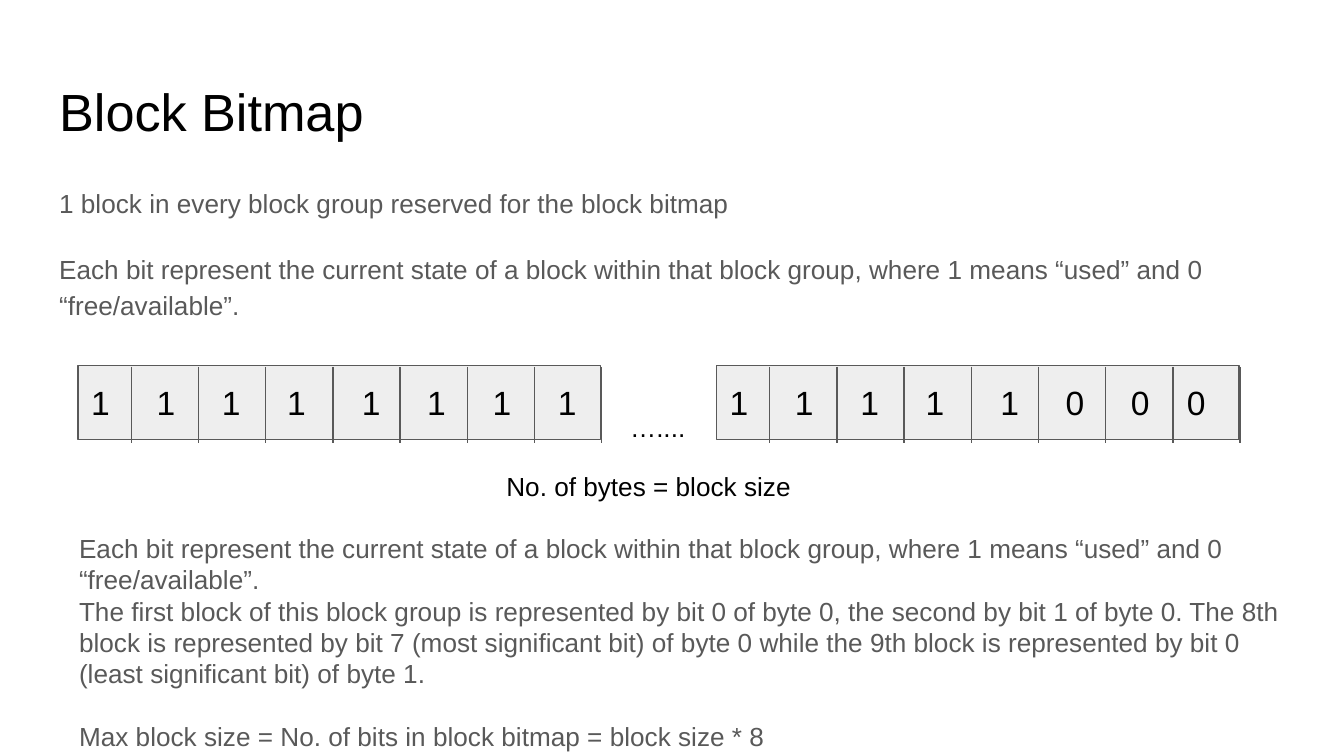
from lxml import etree
from pptx import Presentation
from pptx.dml.color import RGBColor
from pptx.enum.shapes import MSO_CONNECTOR, MSO_SHAPE
from pptx.enum.text import MSO_ANCHOR, MSO_AUTO_SIZE, PP_ALIGN
from pptx.oxml.ns import qn
from pptx.util import Pt

RECT = MSO_SHAPE.RECTANGLE
STRAIGHT = MSO_CONNECTOR.STRAIGHT
TOP, MIDDLE = MSO_ANCHOR.TOP, MSO_ANCHOR.MIDDLE
NO_FIT = MSO_AUTO_SIZE.NONE
LEFT = PP_ALIGN.LEFT

BLACK = RGBColor(0, 0, 0)
GREY = RGBColor(0x59, 0x59, 0x59)
PALE = RGBColor(0xEE, 0xEE, 0xEE)

USED_FREE = ("Each bit represent the current state of a block within that block group, "
             "where 1 means “used” and 0 “free/available”.")
INTRO = [
    ("1 block in every block group reserved for the block bitmap",
     {"line_spacing": 1.15, "space_before": Pt(0), "space_after": Pt(0)}),
    (USED_FREE, {"line_spacing": 1.15, "space_before": Pt(16), "space_after": Pt(12)}),
]
DETAILS = [
    (USED_FREE, {}),
    ("The first block of this block group is represented by bit 0 of byte 0, "
     "the second by bit 1 of byte 0. The 8th block is represented by bit 7 "
     "(most significant bit) of byte 0 while the 9th block is represented by bit 0 "
     "(least significant bit) of byte 1.", {}),
    ("Max block size = No. of bits in block bitmap = block size * 8",
     {"space_before": Pt(17)}),
]


def place(sp, box):
    """Move a shape into a box of left, top, width and height in points."""
    for name, value in zip(("left", "top", "width", "height"), box):
        setattr(sp, name, Pt(value))


def write(sp, paragraphs, size, color, anchor=TOP):
    """Fill a shape with left-aligned paragraphs and their formats."""
    tf = sp.text_frame
    frame = {"word_wrap": True, "auto_size": NO_FIT, "vertical_anchor": anchor}
    frame.update({f"margin_{side}": Pt(7.2) for side in ("left", "top", "right", "bottom")})
    for name, value in frame.items():
        setattr(tf, name, value)
    for i, (text, formats) in enumerate(paragraphs):
        p = tf.add_paragraph() if i else tf.paragraphs[0]
        for name, value in {"alignment": LEFT, **formats}.items():
            setattr(p, name, value)
        r = p.add_run()
        r.text = text
        for name, value in {"name": "Arial", "size": Pt(size)}.items():
            setattr(r.font, name, value)
        r.font.color.rgb = color


def add_label(s, box, paragraphs, color):
    """Add a text box in the given box."""
    sp = s.shapes.add_textbox(*map(Pt, box))
    write(sp, paragraphs, 14, color)


def fill_title(s, box, text):
    """Place the title placeholder in the box."""
    place(s.shapes.title, box)
    write(s.shapes.title, [(text, {})], 28, BLACK)


def fill_body(s, box, paragraphs):
    """Place the body placeholder in the box, without bullets."""
    sp = s.placeholders[1]
    place(sp, box)
    write(sp, paragraphs, 14, GREY)
    for p in sp.text_frame.paragraphs:
        pPr = p._p.get_or_add_pPr()
        pPr.set("marL", "0")
        pPr.set("indent", "0")
        etree.SubElement(pPr, qn("a:buNone"))


def add_byte(s, box, bits, stops):
    """Draw one byte as a bar with tabbed bits and cell dividers."""
    left, top, _, height = box
    sp = s.shapes.add_shape(RECT, *map(Pt, box))
    sp.shadow.inherit = False
    sp.fill.solid()
    sp.fill.fore_color.rgb = PALE
    sp.line.color.rgb = GREY
    sp.line.width = Pt(0.75)
    write(sp, [("\t".join(bits), {})], 18, BLACK, MIDDLE)
    tabs = etree.SubElement(sp.text_frame.paragraphs[0]._p.get_or_add_pPr(), qn("a:tabLst"))
    for stop in stops:
        etree.SubElement(tabs, qn("a:tab"), pos=str(Pt(stop)), algn="l")
    for i in range(len(bits)):
        x = Pt(left + 28.6 + 36 * i)
        line = s.shapes.add_connector(STRAIGHT, x, Pt(top + 0.8), x, Pt(top + height + 2))
        line.line.color.rgb = GREY
        line.line.width = Pt(0.75)
        etree.SubElement(line._element.spPr, qn("a:effectLst"))


def main():
    """Build the block bitmap slide."""
    prs = Presentation()
    prs.slide_width, prs.slide_height = Pt(720), Pt(405)
    s = prs.slides.add_slide(prs.slide_layouts[1])
    fill_body(s, (24.5, 90.7, 671, 105), INTRO)
    fill_title(s, (24.5, 35.3, 671, 45.4), "Block Bitmap")
    stops = [35, 70, 105, 145, 180, 215]
    add_byte(s, (41.8, 195.8, 280, 39.6), "11111111", stops + [250])
    add_byte(s, (383.8, 195.8, 280, 39.6), "11111000", stops + [245])
    add_label(s, (330.5, 213, 45.4, 21.6), [("…....", {})], BLACK)
    add_label(s, (264.2, 244.8, 210, 18), [("No. of bytes = block size", {})], BLACK)
    add_label(s, (35.3, 277.9, 666.7, 105), DETAILS, GREY)
    prs.save("out.pptx")


if __name__ == "__main__":
    main()
